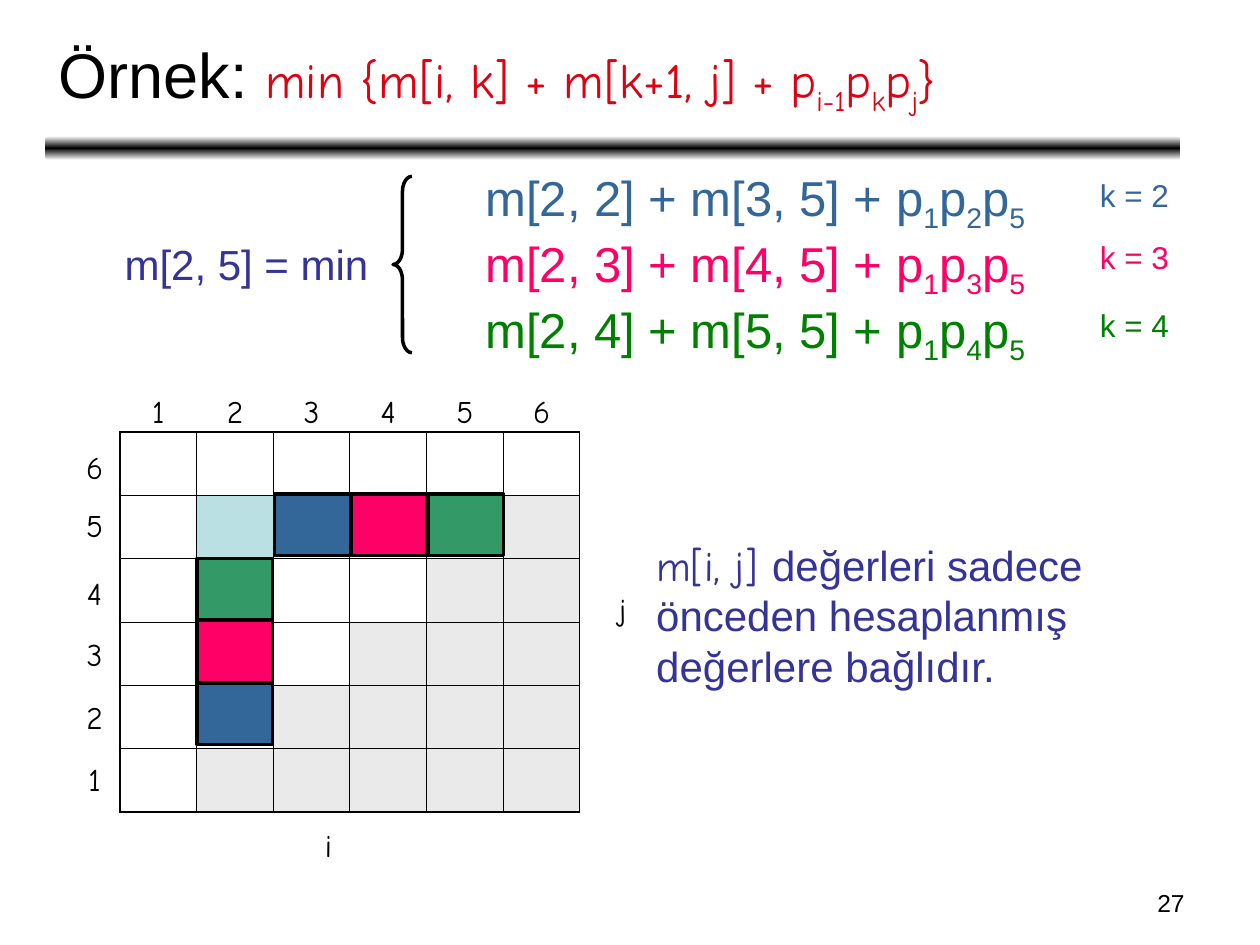
from lxml import etree
from pptx import Presentation
from pptx.dml.color import RGBColor
from pptx.enum.shapes import MSO_SHAPE
from pptx.enum.text import MSO_ANCHOR, PP_ALIGN
from pptx.oxml.ns import qn
from pptx.util import Pt

RECTANGLE, ROUNDED, BRACE = MSO_SHAPE.RECTANGLE, MSO_SHAPE.ROUNDED_RECTANGLE, MSO_SHAPE.LEFT_BRACE
LEFT, CENTER, RIGHT = PP_ALIGN.LEFT, PP_ALIGN.CENTER, PP_ALIGN.RIGHT
MIDDLE = MSO_ANCHOR.MIDDLE
SANS, COMIC = "Arial", "Comic Neue"
COLORS = {
    "black": "000000", "white": "FFFFFF", "red": "DD0111", "navy": "333399",
    "blue": "336699", "pink": "FF0066", "green": "008000",
    "cell green": "339966", "target": "BBE0E3", "unused": "EAEAEA",
}


def rgb(name):
    return RGBColor.from_string(COLORS[name])


def add_text(box, paragraphs, size, color, font=SANS, align=LEFT, wrap=True):
    """Each paragraph is a string in which _x_ marks a subscript."""
    left, top, width, height = box
    frame = slide.shapes.add_textbox(Pt(left), Pt(top), Pt(width), Pt(height)).text_frame
    frame.word_wrap = wrap
    for index, text in enumerate(paragraphs):
        paragraph = frame.paragraphs[0] if index == 0 else frame.add_paragraph()
        paragraph.alignment = align
        paragraph.font.size, paragraph.font.name = Pt(size), font
        paragraph.font.color.rgb = rgb(color)
        for part, piece in enumerate(text.split("_")):
            run = paragraph.add_run()
            run.text = piece
            if part % 2:
                run.font._element.set("baseline", "-25000")
    return frame


prs = Presentation()
prs.slide_width, prs.slide_height = Pt(720), Pt(540)
slide = prs.slides.add_slide(prs.slide_layouts[6])

# Gradient rule under the title
rule = slide.shapes.add_shape(ROUNDED, Pt(25.9), Pt(77.8), Pt(648.7), Pt(13.7))
rule.shadow.inherit = False
rule.line.fill.background()
rule.fill.gradient()
rule.fill.gradient_angle = 90
stops = rule.fill._fill._gradFill.find(qn("a:gsLst"))
for stop in list(stops):
    stops.remove(stop)
for position, name in ((0, "white"), (50000, "black"), (100000, "white")):
    stop = etree.SubElement(stops, qn("a:gs"), pos=str(position))
    etree.SubElement(stop, qn("a:srgbClr"), val=COLORS[name])

# Title and page number
title = add_text((26.6, 7.9, 648, 71.3),
                 ["Örnek: _", ], 36, "black")
title.vertical_anchor = MIDDLE
heading = title.paragraphs[0]
heading.clear()
heading.add_run().text = "Örnek: "
for part, piece in enumerate("min {m[i, k] + m[k+1, j] + p_i-1_p_k_p_j_}".split("_")):
    run = heading.add_run()
    run.text = piece
    run.font.size, run.font.name = Pt(28), COMIC
    run.font.color.rgb = rgb("red")
    if part % 2:
        run.font._element.set("baseline", "-25000")
add_text((516.2, 504, 167.8, 25.2), ["27"], 14, "black", align=RIGHT)

# Recurrence: left side, brace and the three candidates
add_text((64.1, 132.5, 185, 49), ["m[2, 5] = min"], 24, "navy")
brace = slide.shapes.add_shape(BRACE, Pt(224.6), Pt(100.8), Pt(10.8), Pt(100.8))
brace.adjustments[0], brace.adjustments[1] = 0.8, 0.5
brace.shadow.inherit = False
brace.fill.background()
brace.line.color.rgb, brace.line.width = rgb("black"), Pt(2)

candidates = add_text((27.4, 95.8, 630.7, 115.9), [
    "m[2, 2] + m[3, 5] + p_1_p_2_p_5_",
    "m[2, 3] + m[4, 5] + p_1_p_3_p_5_",
    "m[2, 4] + m[5, 5] + p_1_p_4_p_5_",
], 28, "navy")
choices = (("k = 2", "blue", 97.2), ("k = 3", "pink", 132.5), ("k = 4", "green", 171.4))
for index, (choice, color, top) in enumerate(choices):
    candidate = candidates.paragraphs[index]
    candidate._p.get_or_add_pPr().set("marL", str(Pt(243)))
    candidate.line_spacing = 0.8
    if index:
        candidate.space_before = Pt(7)
    candidate.font.color.rgb = rgb(color)
    add_text((621.4, top, 54, 28.8), [choice], 18, color, wrap=False)

# Cost table
N, TABLE_LEFT, TABLE_TOP, COL, ROW = 6, 68.4, 246.8, 43.8, 36.2
cost_frame = slide.shapes.add_table(N, N, Pt(TABLE_LEFT), Pt(TABLE_TOP), Pt(N * COL), Pt(N * ROW))
costs = cost_frame.table
costs.first_row = costs.horz_banding = False
for index in range(N):
    costs.columns[index].width, costs.rows[index].height = Pt(COL), Pt(ROW)
for row in range(N):
    for col in range(N):
        cell = costs.cell(row, col)
        edges = {"a:lnL": col == 0, "a:lnR": col == N - 1,
                 "a:lnT": row == 0, "a:lnB": row == N - 1}
        for tag, outer in edges.items():
            edge = etree.SubElement(cell._tc.get_or_add_tcPr(), qn(tag),
                                    w=str(Pt(1.08 if outer else 0.45)))
            paint = etree.SubElement(edge, qn("a:solidFill"))
            etree.SubElement(paint, qn("a:srgbClr"), val=COLORS["black"])
        if (row, col) == (1, 1):
            cell.fill.solid()
            cell.fill.fore_color.rgb = rgb("target")
        elif row + col >= N:
            cell.fill.solid()
            cell.fill.fore_color.rgb = rgb("unused")
        else:
            cell.fill.background()

# Index labels and axis names
side_tops = (430.6, 395.3, 359.3, 324.7, 285.8, 252.7)
labels = [("i", 187.6, 468.7), ("j", 355.7, 333.4)]
for index, side_top in enumerate(side_tops):
    number = str(index + 1)
    labels += [(number, 90.5 + index * COL, 220.3), (number, 54, side_top)]
for label, center, top in labels:
    add_text((center - 12, top, 24, 28.8), [label], 18, "black", COMIC, CENTER, wrap=False)

# Pairs of cells that are added together
for index, color in enumerate(("blue", "pink", "cell green")):
    for left, top in ((157 + index * COL, 282.2), (112.6, 390.2 - index * 35.6)):
        mark = slide.shapes.add_shape(RECTANGLE, Pt(left), Pt(top), Pt(43.2), Pt(35.3))
        mark.shadow.inherit = False
        mark.fill.solid()
        mark.fill.fore_color.rgb = rgb(color)
        mark.line.color.rgb, mark.line.width = rgb("black"), Pt(2)

# Remark
remark = add_text((367.9, 304.6, 334.8, 185),
                  ["m[i, j] _", ], 24, "navy").paragraphs[0]
remark.clear()
for piece, font in (("m[i, j] ", COMIC),
                    ("değerleri sadece önceden hesaplanmış değerlere bağlıdır.", SANS)):
    run = remark.add_run()
    run.text, run.font.name = piece, font

prs.save("out.pptx")
